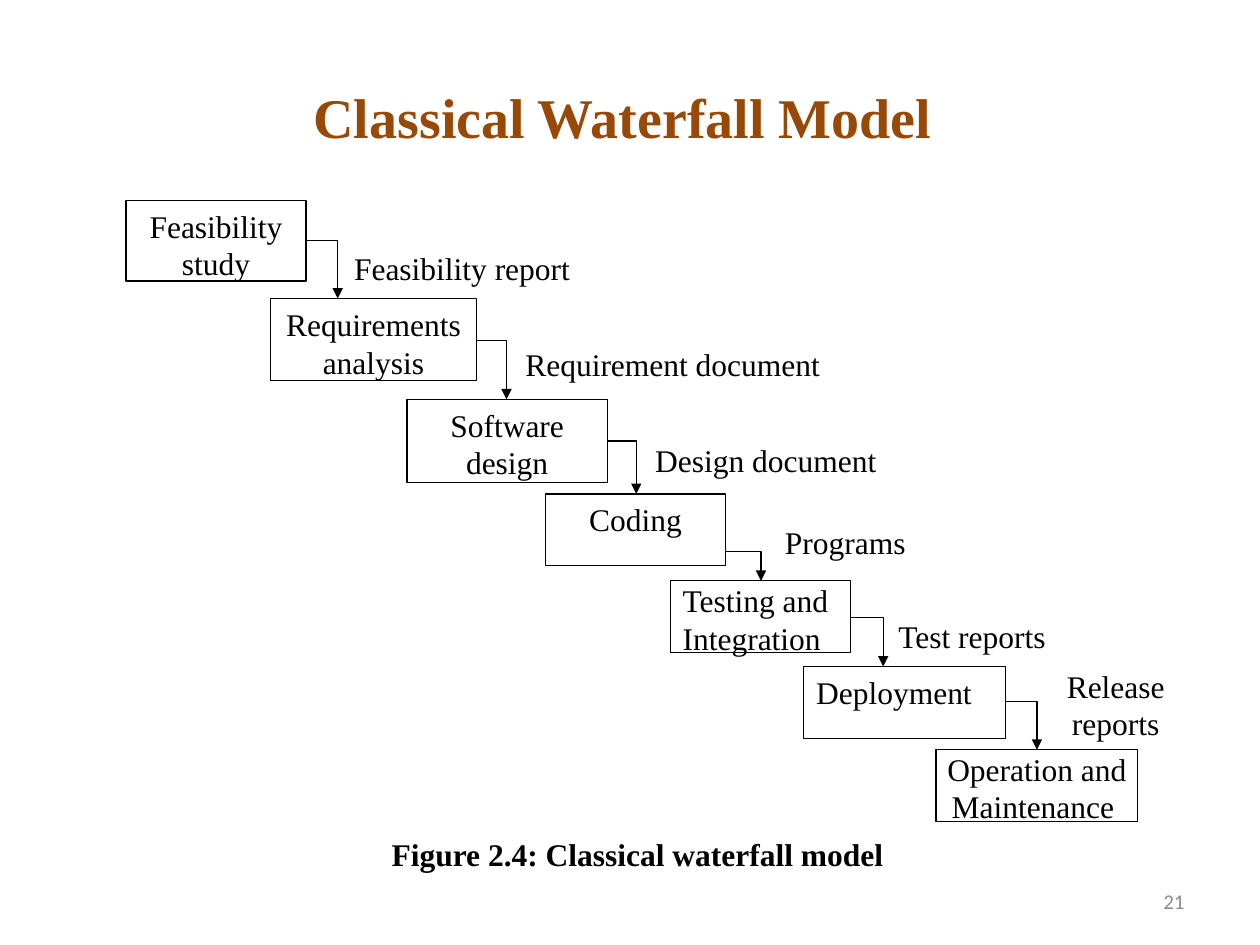
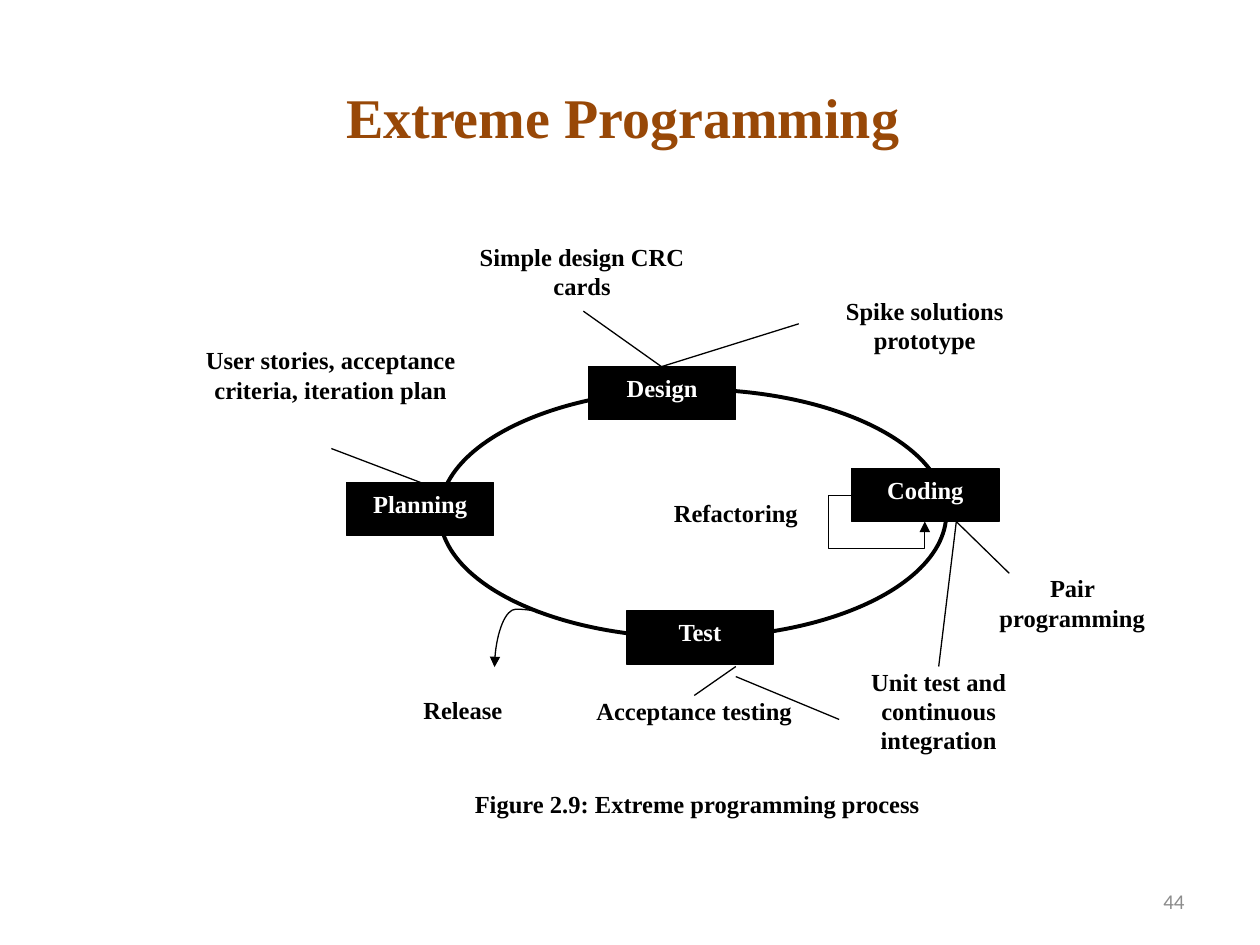
"""Build two slides on software process models: waterfall and extreme programming."""
from dataclasses import dataclass
from itertools import pairwise
from lxml.etree import SubElement
from pptx import Presentation
from pptx.dml.color import RGBColor
from pptx.enum.shapes import MSO_CONNECTOR, MSO_SHAPE
from pptx.enum.text import MSO_ANCHOR, PP_ALIGN
from pptx.oxml.ns import qn
from pptx.util import Inches, Pt

LEFT, MID, RIGHT = PP_ALIGN.LEFT, PP_ALIGN.CENTER, PP_ALIGN.RIGHT
PAD = (0.1, 0.05)
TIGHT = (0, 0)


@dataclass(frozen=True)
class Theme:
    serif: str = "Times New Roman"
    sans: str = "Calibri"
    ink: str = "000000"
    paper: str = "FFFFFF"
    brown: str = "984807"
    grey: str = "8C8C8C"
    head: int = 32
    large: int = 18
    small: int = 14
    foot: int = 12
    thin: float = 0.75
    thick: float = 2.25


class Deck:
    def __init__(self, theme):
        self.theme = theme
        self.prs = Presentation()
        self.prs.slide_width, self.prs.slide_height = Inches(10), Inches(7.5)
        self.slide = None

    def page(self, title, number):
        t = self.theme
        self.slide = self.prs.slides.add_slide(self.prs.slide_layouts[6])
        self.note((0.5, 0.3, 9, 1.25), title, t.head, t.brown, MID, t.serif, True)
        self.note((7.17, 6.95, 2.33, 0.4), number, t.foot, t.grey, RIGHT, t.sans)

    def letter(self, shape, text, size, color, align=MID, font=None, bold=False,
               pad=PAD, anchor=MSO_ANCHOR.TOP):
        frame = shape.text_frame
        frame.word_wrap = True
        frame.vertical_anchor = anchor
        frame.margin_left = frame.margin_right = Inches(pad[0])
        frame.margin_top = frame.margin_bottom = Inches(pad[1])
        para = frame.paragraphs[0]
        para.alignment = align
        run = para.add_run()
        run.text = text
        run.font.name = font or self.theme.serif
        run.font.size, run.font.bold = Pt(size), bold
        run.font.color.rgb = RGBColor.from_string(color)

    def note(self, at, text, size, color, align, font, bold=False):
        box = self.slide.shapes.add_textbox(*map(Inches, at))
        self.letter(box, text, size, color, align, font, bold, anchor=MSO_ANCHOR.MIDDLE)

    def shape(self, kind, at, fill, edge, width):
        shape = self.slide.shapes.add_shape(kind, *map(Inches, at))
        shape.shadow.inherit = False
        if fill:
            shape.fill.solid()
            shape.fill.fore_color.rgb = RGBColor.from_string(fill)
        else:
            shape.fill.background()
        shape.line.color.rgb = RGBColor.from_string(edge)
        shape.line.width = Pt(width)
        return shape

    def box(self, at, text, size, dark=False, **style):
        t = self.theme
        fill, color = (t.ink, t.paper) if dark else (t.paper, t.ink)
        shape = self.shape(MSO_SHAPE.RECTANGLE, at, fill, t.ink, t.thin)
        self.letter(shape, text, size, color, **style)

    def label(self, at, text, size, pad=TIGHT, **style):
        t = self.theme
        shape = self.shape(MSO_SHAPE.RECTANGLE, at, t.paper, t.paper, t.thin)
        self.letter(shape, text, size, t.ink, pad=pad, **style)

    def ring(self, at):
        self.shape(MSO_SHAPE.OVAL, at, None, self.theme.ink, self.theme.thick)

    def link(self, start, end, kind=MSO_CONNECTOR.STRAIGHT):
        line = self.slide.shapes.add_connector(kind, *map(Inches, (*start, *end)))
        line.line.color.rgb = RGBColor.from_string(self.theme.ink)
        line.line.width = Pt(self.theme.thin)
        SubElement(line.element.spPr, qn("a:effectLst"))
        return line

    def arrow(self, start, end, preset, bends=(), turn=0):
        curved = preset.startswith("curved")
        kind = MSO_CONNECTOR.CURVE if curved else MSO_CONNECTOR.ELBOW
        line = self.link(start, end, kind)
        props = line.element.spPr
        SubElement(props.find(qn("a:ln")), qn("a:tailEnd"), type="triangle")
        geom = props.find(qn("a:prstGeom"))
        geom.set("prst", preset)
        guides = geom.find(qn("a:avLst"))
        if guides is None:
            guides = SubElement(geom, qn("a:avLst"))
        for i, bend in enumerate(bends, 1):
            SubElement(guides, qn("a:gd"), name=f"adj{i}",
                       fmla=f"val {round(bend * 100000)}")
        if turn:
            props.find(qn("a:xfrm")).set("rot", str(turn * 60000))


def falls(deck):
    size = deck.theme.large
    deck.page("Classical Waterfall Model ", "21")
    steps = [
        ((1, 1.59, 1.43, 0.64), "Feasibility study", MID, PAD, 0.32, 0.25),
        ((2.15, 2.37, 1.63, 0.65), "Requirements analysis", MID, PAD, 0.33, 0.24),
        ((3.23, 3.17, 1.59, 0.66), "Software design", MID, PAD, 0.33, 0.23),
        ((4.33, 3.92, 1.43, 0.57), "Coding", MID, PAD, 0.46, 0.28),
        ((5.32, 4.61, 1.43, 0.57), "Testing and Integration", LEFT, (0.1, 0), 0.29, 0.26),
        ((6.38, 5.29, 1.6, 0.57), "Deployment", LEFT, PAD, 0.28, 0.25),
        ((7.43, 5.95, 1.6, 0.57), "Operation and Maintenance ", MID, TIGHT, 0, 0),
    ]
    for at, text, align, pad, *_ in steps:
        deck.box(at, text, size, align=align, pad=pad)
    labels = [
        ((2.81, 1.98, 1.72, 0.26), "Feasibility report", LEFT),
        ((4.17, 2.74, 3.04, 0.29), "Requirement document ", LEFT),
        ((5.2, 3.5, 2.01, 0.25), "Design document", LEFT),
        ((6.23, 4.15, 0.98, 0.33), "Programs ", LEFT),
        ((7.13, 4.9, 1.26, 0.28), "Test reports", LEFT),
        ((8.4, 5.29, 0.91, 0.57), "Release reports", MID),
    ]
    for at, text, align in labels:
        deck.label(at, text, size, align=align)
    for (at, _, _, _, drop, reach), (below, *_) in pairwise(steps):
        x, y = at[0] + at[2], at[1] + drop
        deck.arrow((x, y), (x + reach, below[1]), "bentConnector2")
    deck.label((2.69, 6.58, 4.74, 0.4), "Figure 2.4: Classical waterfall model", size,
               pad=PAD, bold=True)


def cycle(deck):
    size = deck.theme.small
    deck.page("Extreme Programming ", "44")
    deck.ring((3.49, 3.09, 4.02, 1.97))
    stages = [(4.67, 2.91, "Design"), (4.97, 4.85, "Test"),
              (6.76, 3.72, "Coding"), (2.75, 3.83, "Planning")]
    for x, y, text in stages:
        deck.box((x, y, 1.17, 0.42), text, size, dark=True, bold=True)
    labels = [
        ((3.67, 6.21, 4.67, 0.45), "Figure 2.9: Extreme programming process", LEFT, PAD),
        ((6.66, 5.29, 1.58, 0.83), "Unit test and continuous integration", MID, TIGHT),
        ((3.75, 1.92, 1.74, 0.56), "Simple design CRC cards", MID, TIGHT),
        ((6.34, 2.35, 2, 0.56), "Spike solutions prototype", MID, TIGHT),
        ((1.58, 2.74, 2.09, 0.82), "User stories, acceptance criteria, iteration plan",
         MID, TIGHT),
        ((7.77, 4.55, 1.48, 0.62), "Pair programming", MID, TIGHT),
        ((4.36, 5.52, 2.3, 0.39), "Acceptance testing", MID, TIGHT),
        ((5.25, 3.95, 1.27, 0.29), "Refactoring", LEFT, (0.1, 0)),
        ((3.36, 5.52, 0.82, 0.26), "Release ", LEFT, TIGHT),
    ]
    for at, text, align, pad in labels:
        deck.label(at, text, size, align=align, pad=pad, bold=True)
    deck.arrow((6.76, 3.93), (7.34, 4.14), "bentConnector4", (-0.32, 2.03))
    deck.arrow((3.88, 4.91), (4.31, 5.25), "curvedConnector3", (-0.07,), turn=90)
    top, code = (5.25, 2.91), (7.59, 4.14)
    links = [((2.63, 3.56), (3.34, 3.83)), ((4.63, 2.47), top), (top, (6.34, 2.57)),
             (code, (8.01, 4.55)), (code, (7.45, 5.29)),
             ((5.84, 5.37), (6.66, 5.71)), ((5.51, 5.52), (5.84, 5.29))]
    for start, end in links:
        deck.link(start, end)


deck = Deck(Theme())
falls(deck)
cycle(deck)
deck.prs.save("out.pptx")
